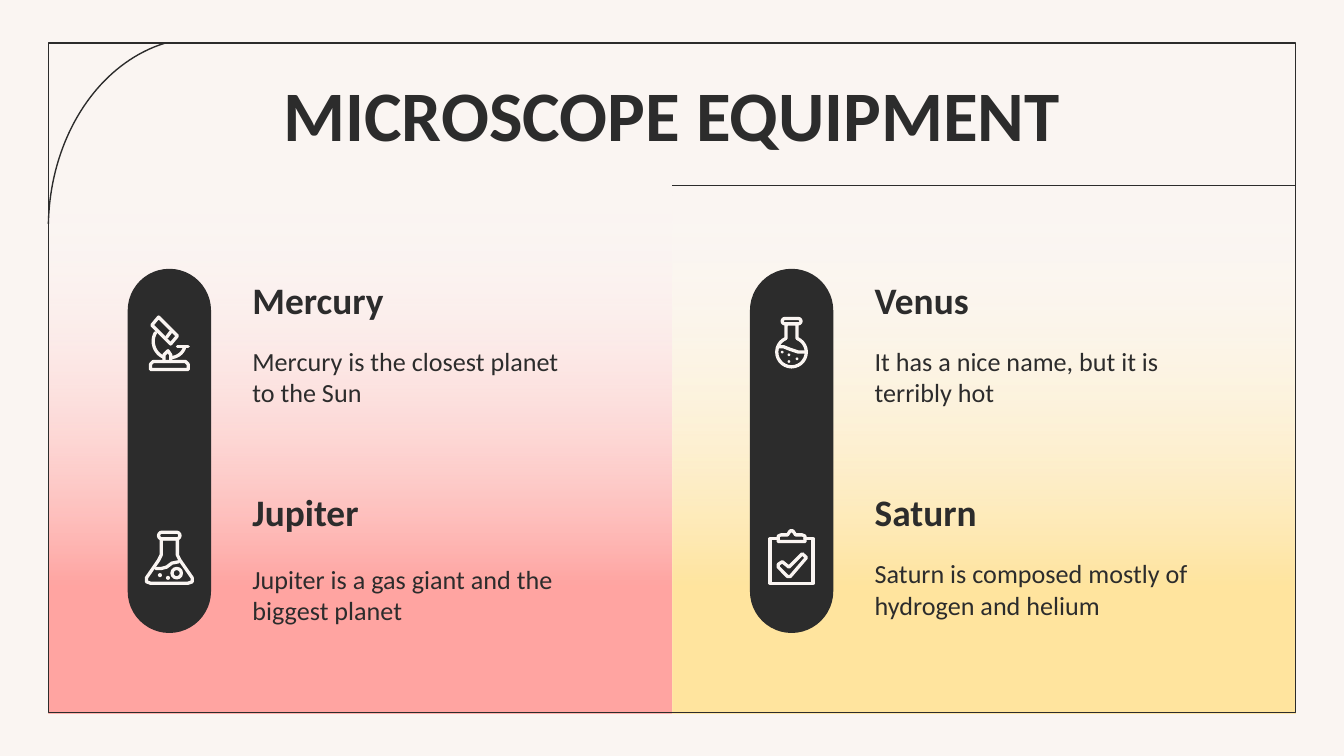
from math import cos, radians, sin

from lxml.etree import SubElement
from pptx import Presentation
from pptx.dml.color import RGBColor
from pptx.enum.shapes import MSO_CONNECTOR, MSO_SHAPE
from pptx.enum.text import MSO_ANCHOR, PP_ALIGN
from pptx.oxml.ns import qn
from pptx.util import Inches, Pt

COLORS = {"ink": "2C2C2C", "paper": "FAF5F2", "pink": "FFA4A1",
          "yellow": "FFE49E", "white": "FFFFFF"}
FONT = "Calibri"
FRAME = (0.36, 0.32, 9.28, 4.98)
PANEL_TOP, PANEL_WIDTH, PANEL_HEIGHT = 1.38, 4.64, 3.93
CONTENT_STEP, ITEM_STEP, ICON_STEP = 4.63, 1.58, 1.6


def color(name):
    return RGBColor.from_string(COLORS[name])


def mirrored(points):
    return points + [(-x, y) for x, y in reversed(points)]


def arc_points(x, y, radius, start, end, steps=24):
    angles = [radians(start + (end - start) * i / steps) for i in range(steps + 1)]
    return [(x + radius * cos(a), y + radius * sin(a)) for a in angles]


ICONS = {
    "microscope": {
        "loops": [[(-0.08, -0.19), (0.06, -0.05), (0.01, 0.01), (-0.13, -0.13)],
                  mirrored([(-0.14, 0.20), (-0.14, 0.16), (-0.12, 0.14)])],
        "lines": [[(0.01, -0.08), (-0.02, -0.04)],
                  arc_points(0.01, -0.01, 0.13, 210, 115),
                  arc_points(0.01, 0, 0.11, 85, 20),
                  [(0.06, 0.03), (0.14, 0.03)],
                  [(-0.04, 0.14), (-0.04, 0.09), (-0.01, 0.06), (0.01, 0.09), (0.01, 0.14)]],
    },
    "conical flask": {
        "loops": [mirrored([(-0.06, -0.14), (-0.06, -0.02), (-0.08, 0.02),
                            (-0.17, 0.15), (-0.17, 0.18), (-0.14, 0.19)])],
        "lines": [[(-0.10, 0.08), (-0.06, 0.08), (-0.02, 0.07), (0.02, 0.04), (0.07, 0.03)]],
        "rounds": [(-0.08, -0.19, 0.16, 0.05), (0.02, 0.08, 0.07, 0.07)],
        "dots": [(-0.01, 0.15, 0.03), (-0.07, 0.13, 0.03)],
    },
    "round flask": {
        "lines": [[(-0.04, -0.14)] + arc_points(0, 0.07, 0.11, 248, -68) + [(0.04, -0.14)],
                  [(-0.10, 0.03), (-0.06, 0.03), (-0.01, 0.05), (0.05, 0.07), (0.10, 0.07)]],
        "rounds": [(-0.07, -0.18, 0.14, 0.04)],
        "dots": [(-0.02, 0.09, 0.02), (0.04, 0.12, 0.02),
                 (-0.02, 0.14, 0.02), (-0.07, 0.07, 0.02)],
    },
    "clipboard": {
        "loops": [mirrored([(-0.10, -0.12), (-0.10, -0.16), (-0.08, -0.17),
                            (-0.03, -0.17), (-0.01, -0.20)]),
                  [(0.08, -0.03), (0.11, 0), (-0.01, 0.14), (-0.03, 0.14),
                   (-0.10, 0.07), (-0.10, 0.05), (-0.07, 0.03), (-0.02, 0.07)]],
        "lines": [mirrored([(-0.10, -0.14), (-0.16, -0.14), (-0.16, 0.19)])],
    },
}

PANELS = [
    ("pink", [
        ("microscope", "Mercury", "Mercury is the closest planet to the Sun", 0.5),
        ("conical flask", "Jupiter", "Jupiter is a gas giant and the biggest planet", 0.54)]),
    ("yellow", [
        ("round flask", "Venus", "It has a nice name, but it is terribly hot", 0.5),
        ("clipboard", "Saturn", "Saturn is composed mostly of hydrogen and helium", 0.5)]),
]


def style(shape, fill=None, line=None, width=0.75):
    shape.shadow.inherit = False
    if fill:
        shape.fill.solid()
        shape.fill.fore_color.rgb = color(fill)
    else:
        shape.fill.background()
    if line:
        shape.line.color.rgb = color(line)
        shape.line.width = Pt(width)
    else:
        shape.line.fill.background()


def add_preset(shapes, kind, left, top, width, height):
    return shapes.add_shape(kind, Inches(left), Inches(top), Inches(width), Inches(height))


def add_stroke(shapes, x, y, points, close):
    places = [(Inches(x + dx), Inches(y + dy)) for dx, dy in points]
    builder = shapes.build_freeform(*places[0])
    builder.add_line_segments(places[1:], close=close)
    shape = builder.convert_to_shape()
    style(shape, line="paper", width=1.75)
    outline = shape.line._get_or_add_ln()
    outline.set("cap", "rnd")
    SubElement(outline, qn("a:round"))


def add_icon(shapes, name, x, y):
    icon = ICONS[name]
    for kind, close in (("lines", False), ("loops", True)):
        for points in icon.get(kind, []):
            add_stroke(shapes, x, y, points, close)
    for dx, dy, width, height in icon.get("rounds", []):
        shape = add_preset(shapes, MSO_SHAPE.ROUNDED_RECTANGLE, x + dx, y + dy, width, height)
        shape.adjustments[0] = 0.5
        style(shape, line="paper", width=1.75)
    for dx, dy, size in icon.get("dots", []):
        dot = add_preset(shapes, MSO_SHAPE.OVAL, x + dx - size / 2, y + dy - size / 2, size, size)
        style(dot, fill="paper")


def set_text(shape, text, size, bold=False, anchor=MSO_ANCHOR.TOP, align=PP_ALIGN.LEFT):
    frame = shape.text_frame
    frame.word_wrap = True
    frame.vertical_anchor = anchor
    frame.margin_left = frame.margin_right = Inches(0.1)
    frame.margin_top = frame.margin_bottom = Inches(0.1)
    paragraph = frame.paragraphs[0]
    paragraph.text = text
    paragraph.alignment = align
    paragraph.font.name = FONT
    paragraph.font.size = Pt(size)
    paragraph.font.bold = bold
    paragraph.font.color.rgb = color("ink")


def add_text(slide, left, top, height, text, size, **options):
    box = slide.shapes.add_textbox(Inches(left), Inches(top), Inches(2.63), Inches(height))
    set_text(box, text, size, **options)


def add_gradient(slide, left, top, width, height, tint):
    shape = add_preset(slide.shapes, MSO_SHAPE.RECTANGLE, left, top, width, height)
    style(shape)
    shape.rotation = 180
    shape.fill.gradient()
    shape.fill.gradient_angle = 270
    stops = shape._element.spPr.find(qn("a:gradFill")).find(qn("a:gsLst"))
    for stop in list(stops):
        stops.remove(stop)
    for position, name, alpha in ((0, tint, 100), (24, tint, 100), (100, "white", 0)):
        stop = SubElement(stops, qn("a:gs"), pos=str(position * 1000))
        value = SubElement(stop, qn("a:srgbClr"), val=COLORS[name])
        SubElement(value, qn("a:alpha"), val=str(alpha * 1000))


def add_frame(slide, left, top, width, height):
    style(add_preset(slide.shapes, MSO_SHAPE.RECTANGLE, left, top, width, height), line="ink")
    rule = slide.shapes.add_connector(
        MSO_CONNECTOR.STRAIGHT, Inches(left + width / 2), Inches(PANEL_TOP),
        Inches(left + width), Inches(PANEL_TOP))
    rule.line.color.rgb = color("ink")
    rule.line.width = Pt(0.75)
    SubElement(rule._element.spPr, qn("a:effectLst"))
    arc = add_preset(slide.shapes, MSO_SHAPE.ARC, left - 0.28, top + 0.24, 2.84, 2.28)
    arc.rotation = 270
    arc.adjustments[0] = 163.04
    arc.adjustments[1] = 209.23
    style(arc, line="ink")


def add_title(slide, left, top, width, height):
    title = slide.shapes.title
    title.left, title.top = Inches(left), Inches(top)
    title.width, title.height = Inches(width), Inches(height)
    set_text(title, "MICROSCOPE EQUIPMENT", 38, bold=True,
             anchor=MSO_ANCHOR.MIDDLE, align=PP_ALIGN.CENTER)


def add_panel_content(slide, left, top, items):
    shapes = slide.shapes.add_group_shape().shapes
    pill = add_preset(shapes, MSO_SHAPE.ROUNDED_RECTANGLE, left + 0.59, top + 0.62, 0.62, 2.71)
    pill.adjustments[0] = 0.5
    style(pill, fill="ink")
    for i, (icon, heading, body, body_offset) in enumerate(items):
        add_icon(shapes, icon, left + 0.9, top + 1.17 + i * ICON_STEP)
        heading_top = top + 0.59 + i * ITEM_STEP
        add_text(slide, left + 1.42, heading_top + body_offset, 0.66, body, 14)
        add_text(slide, left + 1.42, heading_top, 0.52, heading, 20,
                 bold=True, anchor=MSO_ANCHOR.MIDDLE)


def main():
    presentation = Presentation()
    presentation.slide_width = Inches(10)
    presentation.slide_height = Inches(10) * 9 // 16
    slide = presentation.slides.add_slide(presentation.slide_layouts[5])
    slide.background.fill.solid()
    slide.background.fill.fore_color.rgb = color("paper")
    for i, (tint, _) in enumerate(PANELS):
        add_gradient(slide, FRAME[0] + i * PANEL_WIDTH, PANEL_TOP,
                     PANEL_WIDTH, PANEL_HEIGHT, tint)
    add_frame(slide, *FRAME)
    add_title(slide, 0.8, 0.53, 8.4, 0.63)
    for i, (_, items) in enumerate(PANELS):
        add_panel_content(slide, FRAME[0] + i * CONTENT_STEP, PANEL_TOP, items)
    presentation.save("out.pptx")


if __name__ == "__main__":
    main()
